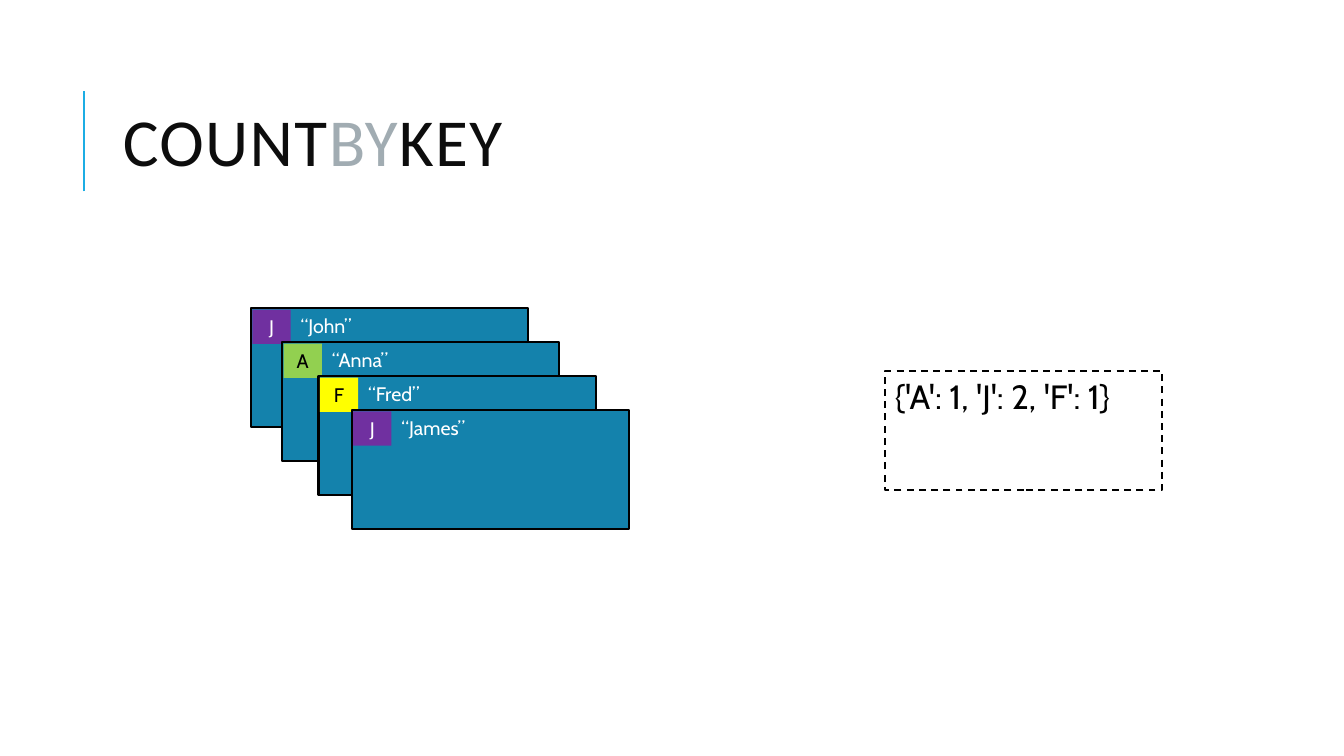
"""Build the countByKey slide: keyed name cards and the resulting counts."""
from lxml.etree import SubElement
from pptx import Presentation
from pptx.dml.color import RGBColor
from pptx.enum.dml import MSO_LINE
from pptx.enum.shapes import MSO_CONNECTOR, MSO_SHAPE
from pptx.enum.text import MSO_ANCHOR, PP_ALIGN
from pptx.oxml.ns import qn
from pptx.util import Inches, Pt

prs = Presentation()
prs.slide_width, prs.slide_height = Inches(13.33), Inches(7.5)
s = prs.slides.add_slide(prs.slide_layouts[6])
UNIT = prs.slide_width / 40
CARD_W, CARD_H = 8.25, 3.54
KEY_W, KEY_H = 1.14, 1.02


def paint(target, color):
    """Give a fill, line or font a solid hex colour."""
    if hasattr(target, "solid"):
        target.solid()
        target = target.fore_color
    else:
        target = target.color
    target.rgb = RGBColor.from_string(color)


def add_box(col, row, cols, rows, fill=None, line=None, width=1.5,
            runs=(), size=14, font="Cabin", align=PP_ALIGN.LEFT):
    """Add a text box or rectangle placed in grid units."""
    place = [round(n * UNIT) for n in (col, row, cols, rows)]
    if fill or line:
        sp = s.shapes.add_shape(MSO_SHAPE.RECTANGLE, *place)
        sp.shadow.inherit = False
        if fill:
            paint(sp.fill, fill)
        else:
            sp.fill.background()
        if line:
            paint(sp.line, line)
            sp.line.width = Pt(width)
        else:
            sp.line.fill.background()
    else:
        sp = s.shapes.add_textbox(*place)
    tf = sp.text_frame
    tf.word_wrap = True
    tf.vertical_anchor = MSO_ANCHOR.TOP
    p = tf.paragraphs[0]
    p.alignment = align
    for text, color in runs:
        r = p.add_run()
        r.text = text
        r.font.name, r.font.size = font, Pt(size)
        paint(r.font, color)
    return sp


rule = s.shapes.add_connector(
    MSO_CONNECTOR.STRAIGHT,
    *[round(n * UNIT) for n in (2.5, 5.7, 2.5, 2.7)])
paint(rule.line, "1CADE4")
rule.line.width = Pt(1.5)
SubElement(rule._element.spPr, qn("a:effectLst"))

title = add_box(3.36, 1.92, 31.9, 4.92, size=48, font="Calibri",
                runs=[("COUNT", "0D0D0D"), ("BY", "A1ACB2"), ("KEY", "0D0D0D")])
title.text_frame.vertical_anchor = MSO_ANCHOR.MIDDLE
p = title.text_frame.paragraphs[0]
p.line_spacing = 0.8
for r in p.runs:
    r.font._element.set("spc", "100")

result = add_box(26.34, 11.04, CARD_W, CARD_H, line="000000", width=1.25)
result.line.dash_style = MSO_LINE.DASH
add_box(26.34, 11.04, CARD_W, 1.5, size=24,
        runs=[("{'A': 1, 'J': 2, 'F': 1}", "000000")])

cards = [
    (7.47, "J", "“John”", "7030A0", "FFFFFF"),
    (8.4, "A", "“Anna”", "92D050", "000000"),
    (9.48, "F", "“Fred”", "FFFF00", "000000"),
    (10.47, "J", "“James”", "7030A0", "FFFFFF"),
]
for i, (col, key, name, key_fill, key_color) in enumerate(cards):
    row = 9.18 + 1.01 * i
    add_box(col, row, CARD_W, CARD_H, fill="1482AC", line="000000")
    add_box(col + 0.04, row + 0.04, KEY_W, KEY_H, fill=key_fill,
            runs=[(key, key_color)], align=PP_ALIGN.CENTER)
    add_box(col + 0.04 + KEY_W, row + 0.03, 5.73, KEY_H,
            runs=[(name, "FFFFFF")])

prs.save("out.pptx")
